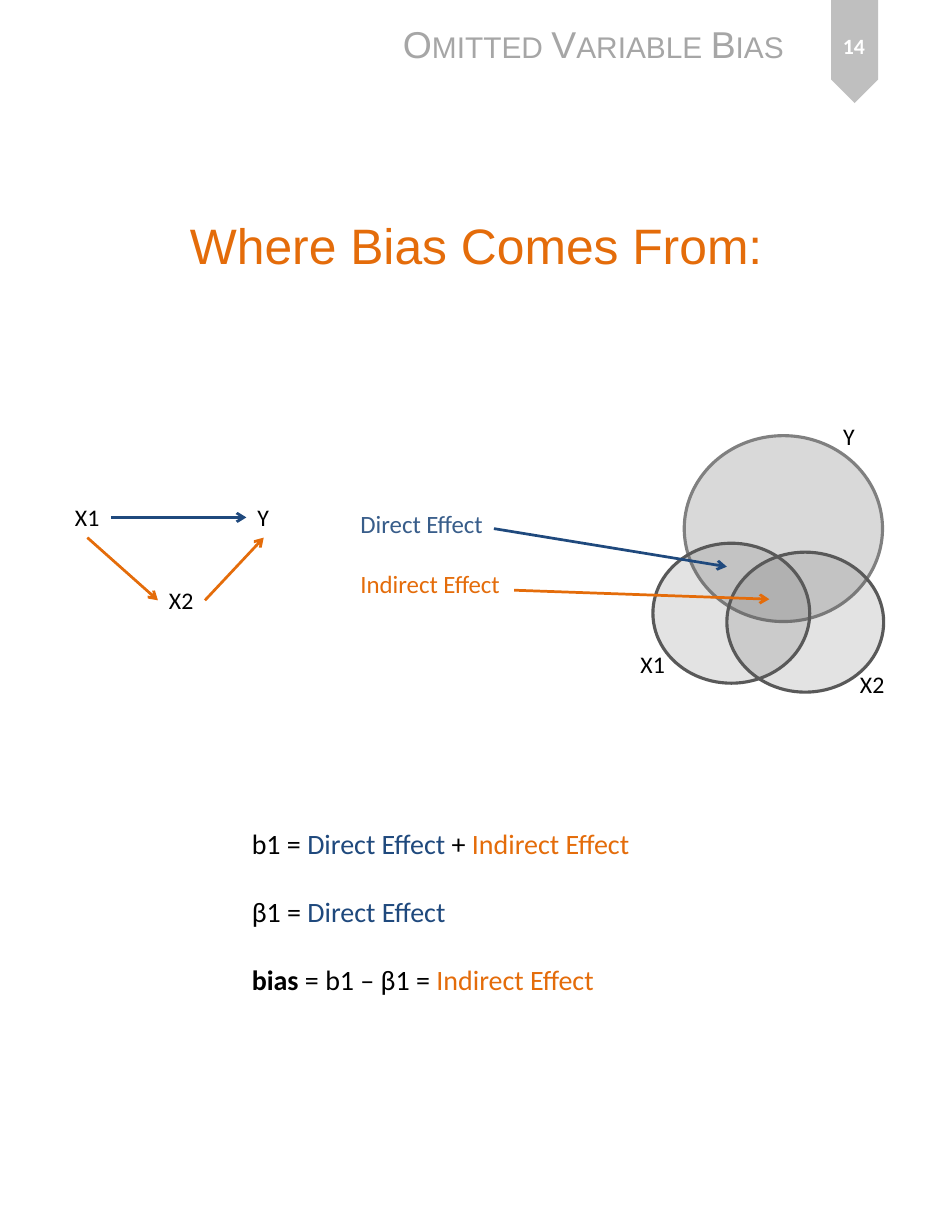
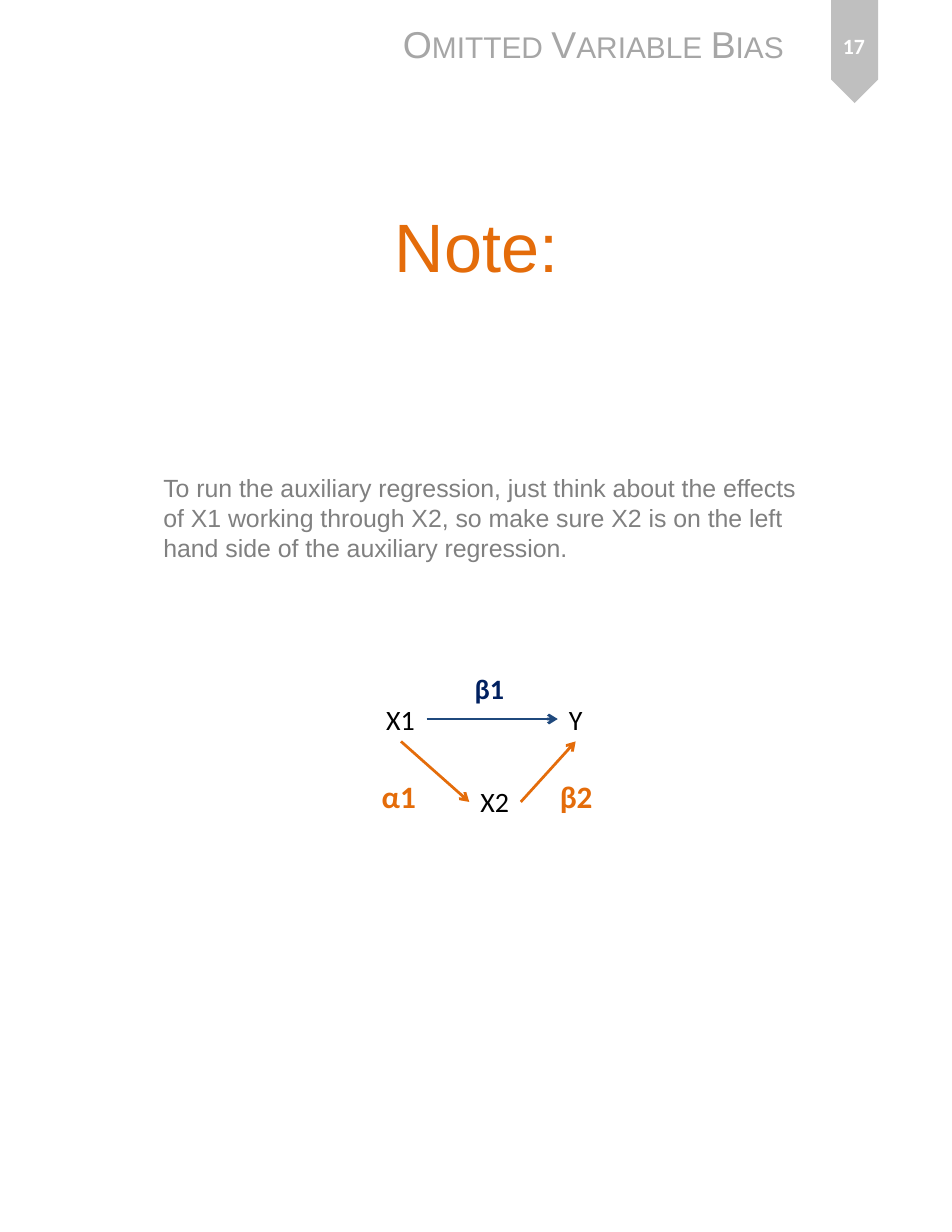
from dataclasses import dataclass

from lxml.etree import SubElement
from pptx import Presentation
from pptx.dml.color import RGBColor
from pptx.enum.shapes import MSO_CONNECTOR as Connector, MSO_SHAPE as Shape
from pptx.enum.text import MSO_ANCHOR as Anchor, MSO_AUTO_SIZE as AutoSize, PP_ALIGN as Align
from pptx.oxml.ns import qn
from pptx.slide import Slide
from pptx.util import Inches, Pt

BLACK, WHITE = "000000", "FFFFFF"
BLUE, STEEL, NAVY, ORANGE = "1F497D", "385D8A", "002060", "E46C0A"
RIBBON, HEADER, GREY, DARK, PALE = "BFBFBF", "A6A6A6", "808080", "595959", "D9D9D9"
HEADING_FONT, BODY_FONT = "Arial", "Calibri"


@dataclass(frozen=True)
class Box:
    """A rectangle in inches."""
    left: float
    top: float
    width: float
    height: float

    @property
    def right(self) -> float:
        return self.left + self.width

    @property
    def bottom(self) -> float:
        return self.top + self.height

    @property
    def centre(self) -> float:
        return self.left + self.width / 2

    @property
    def middle(self) -> float:
        return self.top + self.height / 2

    def lengths(self) -> list[Inches]:
        """Return the four values as slide lengths."""
        return [Inches(n) for n in (self.left, self.top, self.width, self.height)]


@dataclass(frozen=True)
class Words:
    """A stretch of text in one colour and weight."""
    text: str
    color: str = BLACK
    bold: bool = False


@dataclass(frozen=True)
class Circle:
    """One variable of the Venn diagram, with its label."""
    name: str
    box: Box
    label: Box
    fill: str
    line: str
    opacity: int = 100


def rgb(color: str) -> RGBColor:
    """Turn a hex string into a colour."""
    return RGBColor.from_string(color)


def add_text(slide: Slide, box: Box, lines: list[list[Words]], size: float,
             font: str = BODY_FONT, wrap: bool = False, gap: float = 0,
             centred: bool = False, small_caps: bool = False) -> None:
    """Add a text box with one paragraph for each line."""
    frame = slide.shapes.add_textbox(*box.lengths()).text_frame
    frame.word_wrap = wrap
    frame.auto_size = AutoSize.NONE if centred else AutoSize.SHAPE_TO_FIT_TEXT
    frame.vertical_anchor = Anchor.MIDDLE if centred else Anchor.TOP
    for index, line in enumerate(lines):
        paragraph = frame.add_paragraph() if index else frame.paragraphs[0]
        paragraph.alignment = Align.CENTER if centred else Align.LEFT
        paragraph.space_before = Pt(gap if index else 0)
        paragraph.font.size = Pt(size)
        paragraph.font.name = font
        for words in line:
            run = paragraph.add_run()
            run.text = words.text
            run.font.color.rgb = rgb(words.color)
            run.font.bold = words.bold
            if small_caps:
                run.font._element.set("cap", "small")


def add_arrow(slide: Slide, start: tuple[float, float], end: tuple[float, float],
              color: str) -> None:
    """Draw a straight arrow between two points in inches."""
    points = [Inches(n) for n in (*start, *end)]
    arrow = slide.shapes.add_connector(Connector.STRAIGHT, *points)
    arrow.line.color.rgb = rgb(color)
    arrow.line.width = Pt(1.75)
    SubElement(arrow.line._get_or_add_ln(), qn("a:tailEnd"), type="arrow")
    SubElement(arrow._element.spPr, qn("a:effectLst"))


def add_circle(slide: Slide, circle: Circle) -> None:
    """Draw one outlined circle of the Venn diagram."""
    shape = slide.shapes.add_shape(Shape.OVAL, *circle.box.lengths())
    shape.shadow.inherit = False
    shape.fill.solid()
    shape.fill.fore_color.rgb = rgb(circle.fill)
    if circle.opacity < 100:
        color = shape._element.spPr.find(qn("a:solidFill"))[0]
        SubElement(color, qn("a:alpha"), val=str(circle.opacity * 1000))
    shape.line.color.rgb = rgb(circle.line)
    shape.line.width = Pt(2)


def add_path_diagram(slide: Slide, x1: Box, y: Box, x2: Box, size: float) -> None:
    """Draw the direct path X1 to Y and the indirect one through X2."""
    for name, box in (("X1", x1), ("Y", y), ("X2", x2)):
        add_text(slide, box, [[Words(name)]], size)
    add_arrow(slide, (x1.right, x1.middle), (y.left, y.middle), BLUE)
    add_arrow(slide, (x1.centre, x1.bottom), (x2.left, x2.middle), ORANGE)
    add_arrow(slide, (x2.right, x2.middle), (y.centre, y.bottom), ORANGE)


def add_page(presentation: Presentation, title: str, title_size: float, number: int) -> Slide:
    """Add a slide with the running header, the number ribbon and a title."""
    slide = presentation.slides.add_slide(presentation.slide_layouts[6])
    ribbon = slide.shapes.add_shape(Shape.PENTAGON, *Box(7.17, 0.25, 0.92, 0.42).lengths())
    ribbon.rotation = 90
    ribbon.shadow.inherit = False
    ribbon.fill.solid()
    ribbon.fill.fore_color.rgb = rgb(RIBBON)
    ribbon.line.fill.background()
    add_text(slide, Box(3.5, 0.14, 3.64, 0.5), [[Words("Omitted Variable Bias", HEADER)]],
             24, HEADING_FONT, small_caps=True)
    add_text(slide, Box(0.43, 1.27, 7.65, 1.83), [[Words(title, ORANGE)]],
             title_size, HEADING_FONT, wrap=True, centred=True)
    add_text(slide, Box(7.29, 0.11, 0.67, 0.59), [[Words(str(number), WHITE, True)]],
             14, wrap=True, centred=True)
    return slide


def add_bias_slide(presentation: Presentation) -> None:
    """Show the direct and indirect effects as paths, areas and equations."""
    slide = add_page(presentation, "Where Bias Comes From:", 32, 14)
    add_path_diagram(slide, Box(0.57, 4.44, 0.42, 0.36), Box(2.2, 4.44, 0.31, 0.36),
                     Box(1.41, 5.18, 0.42, 0.36), 15.3)
    add_text(slide, Box(3.12, 4.49, 1.47, 0.91),
             [[Words("Direct Effect", STEEL)], [Words("Indirect Effect", ORANGE)]], 16, gap=19.5)

    circles = [
        Circle("Y", Box(6.11, 3.89, 1.77, 1.66), Box(7.43, 3.72, 0.31, 0.36), PALE, GREY),
        Circle("X1", Box(5.83, 4.85, 1.4, 1.25), Box(5.62, 5.75, 0.42, 0.36), DARK, DARK, 17),
        Circle("X2", Box(6.49, 4.93, 1.4, 1.25), Box(7.58, 5.93, 0.42, 0.36), DARK, DARK, 17),
    ]
    for circle in circles:
        add_circle(slide, circle)
    for circle in circles:
        add_text(slide, circle.label, [[Words(circle.name)]], 15.3)
    add_arrow(slide, (4.41, 4.72), (6.49, 5.06), BLUE)
    add_arrow(slide, (4.59, 5.27), (6.87, 5.35), ORANGE)

    direct, indirect = Words("Direct Effect", BLUE), Words("Indirect Effect", ORANGE)
    equations = [
        [Words("b1 = "), direct, Words(" + "), indirect],
        [Words("β1 = "), direct],
        [Words("bias", bold=True), Words(" = b1 – β1 = "), indirect],
    ]
    add_text(slide, Box(2.15, 7.33, 3.87, 1.62), equations, 18, wrap=True, gap=22)


def add_note_slide(presentation: Presentation) -> None:
    """Explain the auxiliary regression and name the path coefficients."""
    slide = add_page(presentation, "Note:", 44, 17)
    note = ("To run the auxiliary regression, just think about the effects of X1 working "
            "through X2, so make sure X2 is on the left hand side of the auxiliary regression.")
    add_text(slide, Box(1.36, 4.17, 6.02, 0.91), [[Words(note, GREY)]],
             16, HEADING_FONT, wrap=True)
    add_path_diagram(slide, Box(3.35, 6.22, 0.46, 0.4), Box(4.98, 6.22, 0.32, 0.4),
                     Box(4.19, 6.96, 0.46, 0.4), 18)
    coefficients = [
        (Words("β1", NAVY, True), Box(4.14, 5.95, 0.53, 0.4), 18),
        (Words("β2", ORANGE, True), Box(4.9, 6.89, 0.57, 0.44), 20),
        (Words("α1", ORANGE, True), Box(3.31, 6.89, 0.57, 0.44), 20),
    ]
    for words, box, size in coefficients:
        add_text(slide, box, [[words]], size, wrap=True)


def main() -> None:
    """Build and save the presentation."""
    presentation = Presentation()
    presentation.slide_width = Inches(8.5)
    presentation.slide_height = Inches(11)
    add_bias_slide(presentation)
    add_note_slide(presentation)
    presentation.save("out.pptx")


main()
